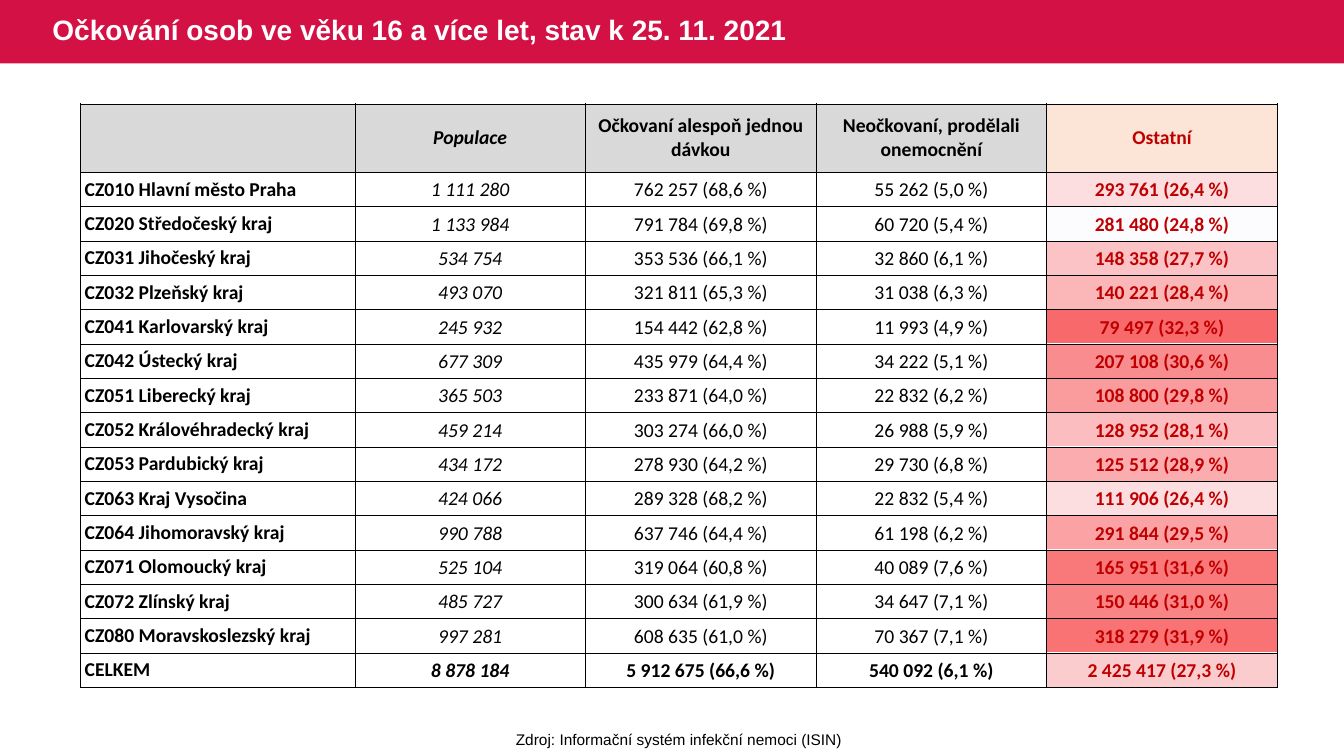
import pptx
import pptx.dml.color
import pptx.enum.shapes
import pptx.enum.text
import pptx.oxml
import pptx.oxml.ns
import pptx.util

Inches = pptx.util.Inches
RGB = pptx.dml.color.RGBColor.from_string
ALIGN = pptx.enum.text.PP_ALIGN
MIDDLE = pptx.enum.text.MSO_ANCHOR.MIDDLE

THEME = {
    "banner": "D31145", "white": "FFFFFF", "black": "000000",
    "header": "D9D9D9", "others_header": "FCE4D6", "others_text": "C00000",
    "title_size": 20, "table_size": 14, "source_size": 11, "border_width": 0.5,
    "heading_font": "Arial", "table_font": "Calibri",
}

HEADINGS = ["", "Populace", "Očkovaní alespoň jednou dávkou",
            "Neočkovaní, prodělali onemocnění", "Ostatní"]

# Region, population, vaccinated, recovered, others, shade behind the others cell
REGIONS = [
    ("CZ010 Hlavní město Praha", "1 111 280", "762 257 (68,6 %)", "55 262 (5,0 %)", "293 761 (26,4 %)", "FCDDE0"),
    ("CZ020 Středočeský kraj", "1 133 984", "791 784 (69,8 %)", "60 720 (5,4 %)", "281 480 (24,8 %)", "FCFCFF"),
    ("CZ031 Jihočeský kraj", "534 754", "353 536 (66,1 %)", "32 860 (6,1 %)", "148 358 (27,7 %)", "FBC3C6"),
    ("CZ032 Plzeňský kraj", "493 070", "321 811 (65,3 %)", "31 038 (6,3 %)", "140 221 (28,4 %)", "FBB6B8"),
    ("CZ041 Karlovarský kraj", "245 932", "154 442 (62,8 %)", "11 993 (4,9 %)", "79 497 (32,3 %)", "F8696B"),
    ("CZ042 Ústecký kraj", "677 309", "435 979 (64,4 %)", "34 222 (5,1 %)", "207 108 (30,6 %)", "F98C8E"),
    ("CZ051 Liberecký kraj", "365 503", "233 871 (64,0 %)", "22 832 (6,2 %)", "108 800 (29,8 %)", "FA9C9E"),
    ("CZ052 Královéhradecký kraj", "459 214", "303 274 (66,0 %)", "26 988 (5,9 %)", "128 952 (28,1 %)", "FBBDBF"),
    ("CZ053 Pardubický kraj", "434 172", "278 930 (64,2 %)", "29 730 (6,8 %)", "125 512 (28,9 %)", "FAACAF"),
    ("CZ063 Kraj Vysočina", "424 066", "289 328 (68,2 %)", "22 832 (5,4 %)", "111 906 (26,4 %)", "FCDEE1"),
    ("CZ064 Jihomoravský kraj", "990 788", "637 746 (64,4 %)", "61 198 (6,2 %)", "291 844 (29,5 %)", "FAA2A4"),
    ("CZ071 Olomoucký kraj", "525 104", "319 064 (60,8 %)", "40 089 (7,6 %)", "165 951 (31,6 %)", "F9787A"),
    ("CZ072 Zlínský kraj", "485 727", "300 634 (61,9 %)", "34 647 (7,1 %)", "150 446 (31,0 %)", "F98486"),
    ("CZ080 Moravskoslezský kraj", "997 281", "608 635 (61,0 %)", "70 367 (7,1 %)", "318 279 (31,9 %)", "F97274"),
    ("CELKEM", "8 878 184", "5 912 675 (66,6 %)", "540 092 (6,1 %)", "2 425 417 (27,3 %)", "FBCCCE"),
]


def write(paragraph, text, color, align, **font_format):
    paragraph.text = text
    paragraph.alignment = align
    font = paragraph.runs[0].font
    font.color.rgb = RGB(color)
    for attribute, value in font_format.items():
        setattr(font, attribute, value)


def add_grid(left, top, column_widths, row_heights):
    grid = slide.shapes.add_table(
        len(row_heights), len(column_widths), Inches(left), Inches(top),
        Inches(sum(column_widths)), Inches(sum(row_heights))).table
    grid.first_row = grid.horz_banding = False
    for column, width in zip(grid.columns, column_widths):
        column.width = Inches(width)
    for row, height in zip(grid.rows, row_heights):
        row.height = Inches(height)
    return grid


deck = pptx.Presentation()
deck.slide_width, deck.slide_height = Inches(13.33), Inches(7.5)
slide = deck.slides.add_slide(deck.slide_layouts[5])

# Banner behind the title
banner = slide.shapes.add_shape(
    pptx.enum.shapes.MSO_SHAPE.RECTANGLE, 0, 0, deck.slide_width, Inches(0.63))
banner.shadow.inherit = False
banner.fill.solid()
banner.fill.fore_color.rgb = RGB(THEME["banner"])
banner.line.fill.background()
slide.shapes._spTree.insert(2, banner._element)

# Title
title = slide.shapes.title
title.left, title.top, title.width, title.height = (
    Inches(0.42), Inches(0), Inches(8.28), Inches(0.63))
title.text_frame.vertical_anchor = MIDDLE
title.text_frame.auto_size = pptx.enum.text.MSO_AUTO_SIZE.NONE
headline = title.text_frame.paragraphs[0]
write(headline, "Očkování osob ve věku 16 a více let, stav k 25. 11. 2021",
      THEME["white"], ALIGN.LEFT, name=THEME["heading_font"],
      size=pptx.util.Pt(THEME["title_size"]), bold=True)
headline.line_spacing = 0.9

# Shared measures of the shading column and the table over it
table_left, table_top, table_width, table_height = 0.8, 1.03, 11.87, 5.79
region_width, header_height = 2.72, 0.68
value_width = (table_width - region_width) / (len(HEADINGS) - 1)
region_heights = [(table_height - header_height) / len(REGIONS)] * len(REGIONS)

# Red shading behind the others column
shading = add_grid(table_left + table_width - value_width, table_top + header_height,
                   [value_width], region_heights)
for row_index, (*_, shade) in enumerate(REGIONS):
    shading_cell = shading.cell(row_index, 0)
    shading_cell.fill.solid()
    shading_cell.fill.fore_color.rgb = RGB(shade)
    shading_cell.margin_top = shading_cell.margin_bottom = 0
    shading_cell.text_frame.paragraphs[0].font.size = pptx.util.Pt(THEME["table_size"])

# Vaccination table: population in italics, others in red
vaccination = add_grid(table_left, table_top,
                       [region_width] + [value_width] * (len(HEADINGS) - 1),
                       [header_height] + region_heights)
border_width = pptx.util.Pt(THEME["border_width"])
table_rows = [HEADINGS] + [texts for *texts, _ in REGIONS]
for row_index, texts in enumerate(table_rows):
    is_header = row_index == 0
    is_total = row_index == len(REGIONS)
    for column_index, text in enumerate(texts):
        is_region = column_index == 0
        is_others = column_index == len(HEADINGS) - 1
        cell = vaccination.cell(row_index, column_index)
        side_margin = 0.04 if is_header or is_region else 0.01
        margins = {
            "margin_left": side_margin, "margin_right": side_margin,
            "margin_top": 0 if is_header or is_region else 0.01, "margin_bottom": 0,
        }
        for attribute, value in margins.items():
            setattr(cell, attribute, Inches(value))
        cell.vertical_anchor = MIDDLE
        for side in ("lnL", "lnR", "lnT", "lnB"):
            cell._tc.get_or_add_tcPr().append(pptx.oxml.parse_xml(
                f'<a:{side} {pptx.oxml.ns.nsdecls("a")} w="{border_width}"><a:solidFill>'
                f'<a:srgbClr val="{THEME["black"]}"/></a:solidFill></a:{side}>'))
        if is_header:
            cell.fill.solid()
            cell.fill.fore_color.rgb = RGB(THEME["others_header" if is_others else "header"])
        else:
            cell.fill.background()
        if text:
            write(cell.text_frame.paragraphs[0], text,
                  THEME["others_text" if is_others else "black"],
                  ALIGN.LEFT if is_region else ALIGN.CENTER,
                  name=THEME["table_font"], size=pptx.util.Pt(THEME["table_size"]),
                  bold=is_header or is_total or is_region or is_others,
                  italic=column_index == 1)

# Source line
source = slide.shapes.add_textbox(
    Inches(5.01), Inches(7.19), Inches(3.45), Inches(0.29)).text_frame
source.word_wrap = False
source.auto_size = pptx.enum.text.MSO_AUTO_SIZE.SHAPE_TO_FIT_TEXT
write(source.paragraphs[0], "Zdroj: Informační systém infekční nemoci (ISIN)",
      THEME["black"], ALIGN.CENTER, name=THEME["heading_font"],
      size=pptx.util.Pt(THEME["source_size"]))

deck.save("out.pptx")
